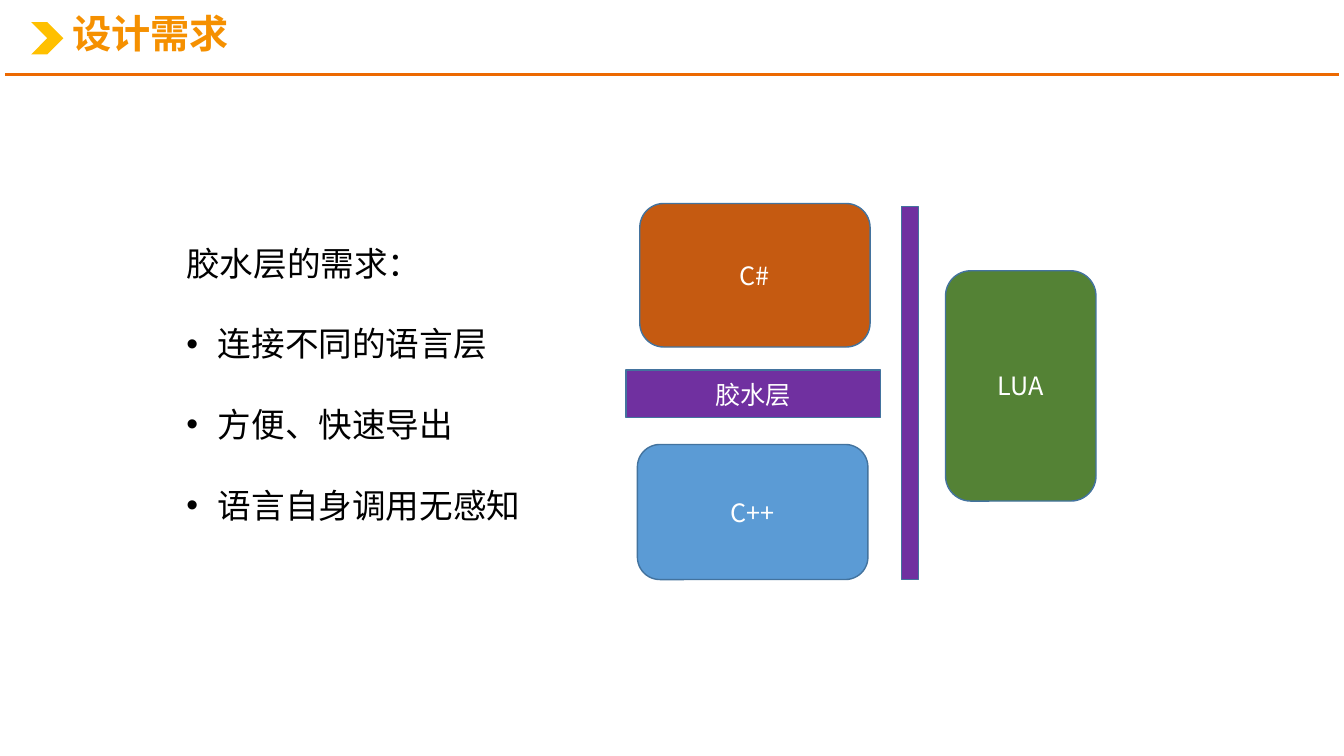
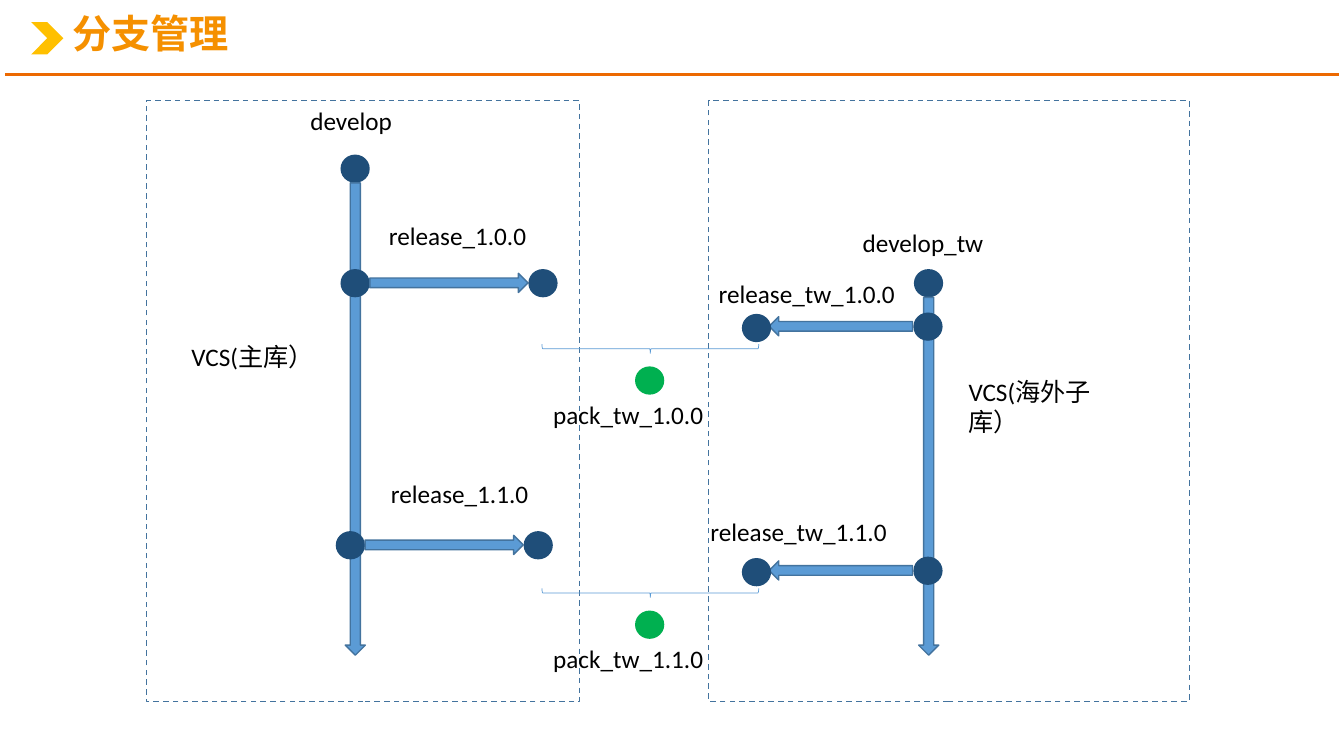
from lxml import etree
from pptx import Presentation
from pptx import util as u
from pptx.dml.color import RGBColor
from pptx.enum import dml, shapes, text
from pptx.oxml.ns import qn

Pt = u.Pt
SHAPE = shapes.MSO_SHAPE
CJK, LATIN = "Noto Sans CJK SC", "Calibri"
BLACK, WHITE = "000000", "FFFFFF"
ORANGE, RULE, GOLD = "F59000", "EC6901", "FFC000"
OUTLINE, BLUE, NAVY = "43739E", "5B9BD5", "1F4E79"
RUST, GREEN, PURPLE, PACK = "C55A11", "548235", "7030A0", "00B050"
DOT_W, DOT_H = 20.9, 20.2


def rgb(value):
    return RGBColor.from_string(value)


def write(p, content, size=18, font=LATIN, color=BLACK, bold=False,
          align=text.PP_ALIGN.LEFT, spacing=None, bullet=None, indent=22.5):
    p.alignment = align
    if spacing:
        p.line_spacing = spacing
    if bullet:
        pPr = p._p.get_or_add_pPr()
        pPr.set("marL", str(Pt(indent)))
        pPr.set("indent", str(-Pt(indent)))
        etree.SubElement(pPr, qn("a:buFont")).set("typeface", "Arial")
        etree.SubElement(pPr, qn("a:buChar")).set("char", bullet)
    r = p.add_run()
    r.text = content
    r.font.size, r.font.bold, r.font.name = Pt(size), bold, font
    r.font.color.rgb = rgb(color)
    etree.SubElement(r._r.get_or_add_rPr(), qn("a:ea")).set("typeface", CJK)


class Deck:
    def __init__(self):
        self.prs = Presentation()
        self.prs.slide_width, self.prs.slide_height = Pt(960), Pt(540)
        self.s = None

    def slide(self, title):
        self.s = self.prs.slides.add_slide(self.prs.slide_layouts[6])
        self.rule(3.6, 53.3, 956.2, 53.3)
        for x, fill in ((22.3, GOLD), (36.7, WHITE)):
            self.shape(SHAPE.CHEVRON, x, 15.8, 23, 23, fill)
        tf = self.box(44.6, 2.9, 404, 45.4, anchor=text.MSO_ANCHOR.MIDDLE)
        write(tf.paragraphs[0], title, size=28, font=CJK, color=ORANGE,
              bold=True, spacing=0.9)

    def rule(self, x1, y1, x2, y2):
        line = self.s.shapes.add_connector(
            shapes.MSO_CONNECTOR.STRAIGHT, Pt(x1), Pt(y1), Pt(x2), Pt(y2))
        line.line.color.rgb = rgb(RULE)
        line.line.width = Pt(2)
        etree.SubElement(line._element.spPr, qn("a:effectLst"))

    def shape(self, kind, x, y, w, h, fill=None, line=None, width=1,
              dash=None, rotation=0, label=None):
        sp = self.s.shapes.add_shape(kind, Pt(x), Pt(y), Pt(w), Pt(h))
        sp.shadow.inherit = False
        sp.rotation = rotation
        if fill:
            sp.fill.solid()
            sp.fill.fore_color.rgb = rgb(fill)
        else:
            sp.fill.background()
        if line:
            sp.line.color.rgb = rgb(line)
            sp.line.width = Pt(width)
            if dash:
                sp.line.dash_style = dash
        else:
            sp.line.fill.background()
        if label:
            tf = sp.text_frame
            tf.vertical_anchor = text.MSO_ANCHOR.MIDDLE
            write(tf.paragraphs[0], label, font=CJK, color=WHITE,
                  align=text.PP_ALIGN.CENTER)

    def box(self, x, y, w, h, anchor=text.MSO_ANCHOR.TOP):
        tf = self.s.shapes.add_textbox(Pt(x), Pt(y), Pt(w), Pt(h)).text_frame
        tf.word_wrap = True
        tf.vertical_anchor = anchor
        return tf

    def label(self, content, x, y, w):
        write(self.box(x, y, w, 29).paragraphs[0], content)

    def dot(self, x, y, fill=NAVY):
        self.shape(SHAPE.OVAL, x, y, DOT_W, DOT_H, fill)

    def arrow(self, kind, x, y, w, h, rotation=0):
        self.shape(kind, x, y, w, h, BLUE, OUTLINE, rotation=rotation)


def requirements(d):
    d.slide("设计需求")
    tf = d.box(126, 141, 323, 240)
    write(tf.paragraphs[0], "胶水层的需求：", size=24, font=CJK, spacing=2.0)
    for item in ("连接不同的语言层", "方便、快速导出", "语言自身调用无感知"):
        write(tf.add_paragraph(), item, size=24, font=CJK, spacing=2.0,
              bullet="•")
    rounded, rect = SHAPE.ROUNDED_RECTANGLE, SHAPE.RECTANGLE
    for kind, x, y, w, h, fill, name in (
            (rounded, 457, 145.4, 164.5, 102.5, RUST, "C#"),
            (rounded, 455.3, 317.5, 164.7, 96.5, BLUE, "C++"),
            (rounded, 675.4, 193.4, 107.5, 164.5, GREEN, "LUA"),
            (rect, 447.2, 264.4, 181.6, 34, PURPLE, "胶水层"),
            (rect, 644, 147.7, 12, 266.3, PURPLE, None)):
        d.shape(kind, x, y, w, h, fill, OUTLINE, label=name)


def release(d, version, main_x, main_y, main_label, tw_y, tw_label):
    d.dot(main_x, main_y)
    d.arrow(SHAPE.RIGHT_ARROW, main_x + 21, main_y + 3, 113, 13.7)
    d.dot(main_x + 134.2, main_y)
    d.label(f"release_{version}", *main_label, 124.6)

    d.dot(652.4, tw_y)
    d.arrow(SHAPE.RIGHT_ARROW, 549.4, tw_y + 3, 102.4, 13.7, rotation=180)
    d.dot(529.9, tw_y + 1)
    d.label(f"release_tw_{version}", *tw_label, 152.6)

    d.shape(SHAPE.LEFT_BRACE, 461.3, tw_y - 51.5, 6.5, 154.8, line=BLUE,
            width=0.5, rotation=270)
    d.dot(453.6, tw_y + 38.5, PACK)
    d.label(f"pack_tw_{version}", 388.1, tw_y + 58.3, 131.8)


def branches(d):
    d.slide("分支管理")
    for x, w in ((506.2, 343.4), (104.6, 309.6)):
        d.shape(SHAPE.RECTANGLE, x, 72, w, 429.1, line=OUTLINE,
                dash=dml.MSO_LINE.DASH)
    for name, label_x, label_y, label_w, dot_x, dot_y in (
            ("develop", 214.6, 72, 81.4, 243.2, 110.4),
            ("develop_tw", 609.1, 158.6, 109.4, 652.8, 192.2)):
        top = dot_y + DOT_H
        d.dot(dot_x, dot_y)
        d.label(name, label_x, label_y, label_w)
        d.arrow(SHAPE.DOWN_ARROW, dot_x + 3.4, top, 14.4, 468 - top)
    release(d, "1.0.0", 243.2, 192.2, (270.7, 154.1), 223.2, (506.2, 195.1))
    release(d, "1.1.0", 239.8, 379.4, (272.2, 338.4), 397.6, (500.4, 365))
    d.label("VCS(主库）", 129.6, 240.5, 105.1)
    d.label("VCS(海外子库）", 684.7, 265, 123.8)


def main():
    d = Deck()
    requirements(d)
    branches(d)
    d.prs.save("out.pptx")


if __name__ == "__main__":
    main()
